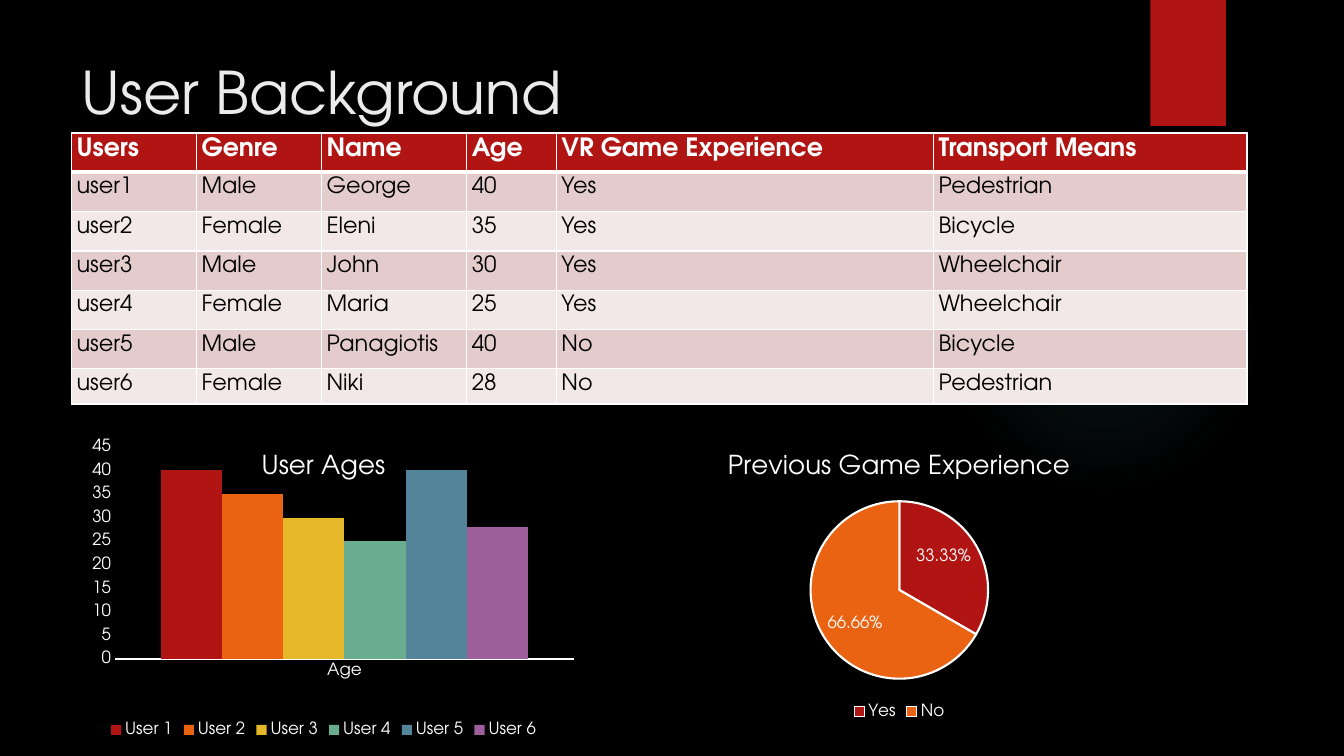
from pptx import Presentation
from pptx.chart.data import CategoryChartData
from pptx.dml.color import RGBColor
from pptx.enum.chart import (XL_CHART_TYPE, XL_LABEL_POSITION,
                             XL_LEGEND_POSITION, XL_TICK_MARK)
from pptx.enum.shapes import MSO_SHAPE
from pptx.enum.text import MSO_ANCHOR, PP_ALIGN
from pptx.oxml import parse_xml
from pptx.oxml.ns import nsdecls
from pptx.util import Inches, Pt

TITLE = "User Background"
HEAD = ("Users", "Genre", "Name", "Age", "VR Game Experience", "Transport Means")
USERS = [
    ("user1", "Male", "George", 40, "Yes", "Pedestrian"),
    ("user2", "Female", "Eleni", 35, "Yes", "Bicycle"),
    ("user3", "Male", "John", 30, "Yes", "Wheelchair"),
    ("user4", "Female", "Maria", 25, "Yes", "Wheelchair"),
    ("user5", "Male", "Panagiotis", 40, "No", "Bicycle"),
    ("user6", "Female", "Niki", 28, "No", "Pedestrian"),
]
AGES = "User Ages"
GAMES = "Previous Game Experience"
SHARES = {"Yes": 0.3333, "No": 0.6666}

FONT = "TeX Gyre Adventor"
BLACK = RGBColor(0x00, 0x00, 0x00)
WHITE = RGBColor(0xFF, 0xFF, 0xFF)
PALE = RGBColor(0xEB, 0xEB, 0xEB)
RED = RGBColor(0xB0, 0x15, 0x13)
BANDS = (RGBColor(0xE4, 0xCC, 0xCC), RGBColor(0xF2, 0xE8, 0xE7))
HUES = (RED, RGBColor(0xEA, 0x63, 0x12), RGBColor(0xE6, 0xB7, 0x29),
        RGBColor(0x6A, 0xAC, 0x90), RGBColor(0x54, 0x84, 0x9A),
        RGBColor(0x9E, 0x5E, 0x9B))
TEAL = "50B9C1"

COLUMN, PIE = XL_CHART_TYPE.COLUMN_CLUSTERED, XL_CHART_TYPE.PIE
BOTTOM, IN_END = XL_LEGEND_POSITION.BOTTOM, XL_LABEL_POSITION.INSIDE_END
NO_TICK = XL_TICK_MARK.NONE
OVAL, RECT = MSO_SHAPE.OVAL, MSO_SHAPE.RECTANGLE
TOP, LEFT = MSO_ANCHOR.TOP, PP_ALIGN.LEFT

EDGE = 0.71
COLS = (1.24, 1.24, 1.44, 0.89, 3.74, 3.11)
ROWS = [0.39] * len(USERS) + [0.35]
CHART_TOP, BAR_WIDE = 4.33, 5
PLOT = {"x": 0.086, "y": 0.034, "w": 0.911, "h": 0.695}


def box(*sides):
    return [Inches(side) for side in sides]


def style(font, size, color, bold=False):
    font.name, font.size, font.bold = FONT, Pt(size), bold
    font.color.rgb = color


def add_plain(slide, kind, *sides):
    shape = slide.shapes.add_shape(kind, *box(*sides))
    shape.shadow.inherit = False
    shape.line.fill.background()
    return shape


def add_glow(slide):
    """Add a faint round light that fades out from its centre."""
    glow = add_plain(slide, OVAL, 9.41, 1.83, 3.08, 3.08)
    glow.fill.background()
    props = glow.element.spPr
    stops = "".join(
        f'<a:gs pos="{at}000"><a:srgbClr val="{TEAL}">'
        f'<a:alpha val="{alpha}000"/></a:srgbClr></a:gs>'
        for at, alpha in ((0, 7), (36, 6), (69, 0)))
    fade = parse_xml(
        f'<a:gradFill {nsdecls("a")}><a:gsLst>{stops}</a:gsLst>'
        '<a:path path="circle"><a:fillToRect l="50000" t="50000" '
        'r="50000" b="50000"/></a:path></a:gradFill>')
    props.replace(props.find("{*}noFill"), fade)


def set_cell(cell, text, size, color, fill, bold, top, base):
    """Fill one cell; top and base are border widths in points."""
    cell.margin_left = cell.margin_right = Inches(0.05)
    cell.margin_top = cell.margin_bottom = Inches(0.05)
    cell.vertical_anchor = TOP
    cell.fill.solid()
    cell.fill.fore_color.rgb = fill
    run = cell.text_frame.paragraphs[0].add_run()
    run.text = str(text)
    style(run.font, size, color, bold)
    props = cell._tc.get_or_add_tcPr()
    for spot, (side, width) in enumerate(zip("LRTB", (1, 1, top, base))):
        props.insert(spot, parse_xml(
            f'<a:ln{side} {nsdecls("a")} w="{Pt(width)}"><a:solidFill>'
            f'<a:srgbClr val="{WHITE}"/></a:solidFill></a:ln{side}>'))


def add_users(slide):
    frame = slide.shapes.add_table(
        len(ROWS), len(COLS), *box(EDGE, 1.32, sum(COLS), sum(ROWS)))
    table = frame.table
    for col, wide in zip(table.columns, COLS):
        col.width = Inches(wide)
    for row, tall in zip(table.rows, ROWS):
        row.height = Inches(tall)
    for r, line in enumerate([HEAD] + USERS):
        for c, text in enumerate(line):
            if r == 0:
                look = (18, WHITE, RED, True, 1, 3)
            else:
                look = (16, BLACK, BANDS[(r - 1) % 2], False, 3 if r == 1 else 1, 1)
            set_cell(table.cell(r, c), text, *look)


def add_graph(slide, kind, data, title, *sides):
    chart = slide.shapes.add_chart(kind, *box(*sides), data).chart
    style(chart.font, 10, WHITE)
    chart.has_title = True
    run = chart.chart_title.text_frame.paragraphs[0].add_run()
    run.text = title
    style(run.font, 18.6, WHITE)
    chart.has_legend = True
    chart.legend.position = BOTTOM
    chart.legend.include_in_layout = False
    style(chart.legend.font, 12, WHITE)
    return chart


def add_ages(slide):
    data = CategoryChartData()
    data.categories = ["Age"]
    for n, user in enumerate(USERS, 1):
        data.add_series(f"User {n}", [user[3]])
    chart = add_graph(slide, COLUMN, data, AGES, EDGE, CHART_TOP, BAR_WIDE, 3.03)
    plot = chart.plots[0]
    plot.gap_width, plot.overlap, plot.vary_by_categories = 150, 0, False
    for bar, hue in zip(plot.series, HUES):
        bar.format.fill.solid()
        bar.format.fill.fore_color.rgb = hue
    for axis in (chart.category_axis, chart.value_axis):
        axis.major_tick_mark = axis.minor_tick_mark = NO_TICK
        axis.has_major_gridlines = False
        style(axis.tick_labels.font, 12, WHITE)
    base, scale = chart.category_axis.format.line, chart.value_axis
    base.color.rgb, base.width = WHITE, Pt(0.75)
    scale.format.line.fill.background()
    scale.minimum_scale, scale.maximum_scale, scale.major_unit = 0, 45, 5
    modes = '<c:xMode val="edge"/><c:yMode val="edge"/>'
    parts = "".join(f'<c:{key} val="{part}"/>' for key, part in PLOT.items())
    area = chart.element.chart.plotArea
    for old in area.findall("{*}layout"):
        area.remove(old)
    area.insert(0, parse_xml(
        f'<c:layout {nsdecls("c")}><c:manualLayout><c:layoutTarget val="inner"/>'
        f'{modes}{parts}</c:manualLayout></c:layout>'))


def add_games(slide):
    data = CategoryChartData(number_format="0.00%")
    data.categories = list(SHARES)
    data.add_series(GAMES, list(SHARES.values()))
    chart = add_graph(slide, PIE, data, GAMES, EDGE + BAR_WIDE, CHART_TOP, 6.42, 2.85)
    plot = chart.plots[0]
    for n, hue in enumerate(HUES[:len(SHARES)]):
        look = plot.series[0].points[n].format
        look.fill.solid()
        look.fill.fore_color.rgb = hue
        look.line.color.rgb, look.line.width = WHITE, Pt(1.5)
    plot.has_data_labels = True
    labels = plot.data_labels
    labels.show_value, labels.show_percentage = True, False
    labels.number_format, labels.number_format_is_linked = "0.00%", False
    labels.position = IN_END
    style(labels.font, 12, WHITE)


def main():
    deck = Presentation()
    deck.slide_width, deck.slide_height = box(13.33, 7.5)
    slide = deck.slides.add_slide(deck.slide_layouts[5])
    back = slide.background.fill
    back.solid()
    back.fore_color.rgb = BLACK
    add_glow(slide)
    tab = add_plain(slide, RECT, 11.41, 0, 0.75, 1.25)
    tab.fill.solid()
    tab.fill.fore_color.rgb = RED

    title = slide.shapes.title
    title.left, title.top, title.width, title.height = box(EDGE, 0.5, 10.29, 1.15)
    title.text_frame.vertical_anchor = TOP
    para = title.text_frame.paragraphs[0]
    para.alignment = LEFT
    run = para.add_run()
    run.text = TITLE
    style(run.font, 42, PALE)

    add_users(slide)
    add_ages(slide)
    add_games(slide)
    deck.save("out.pptx")


if __name__ == "__main__":
    main()
